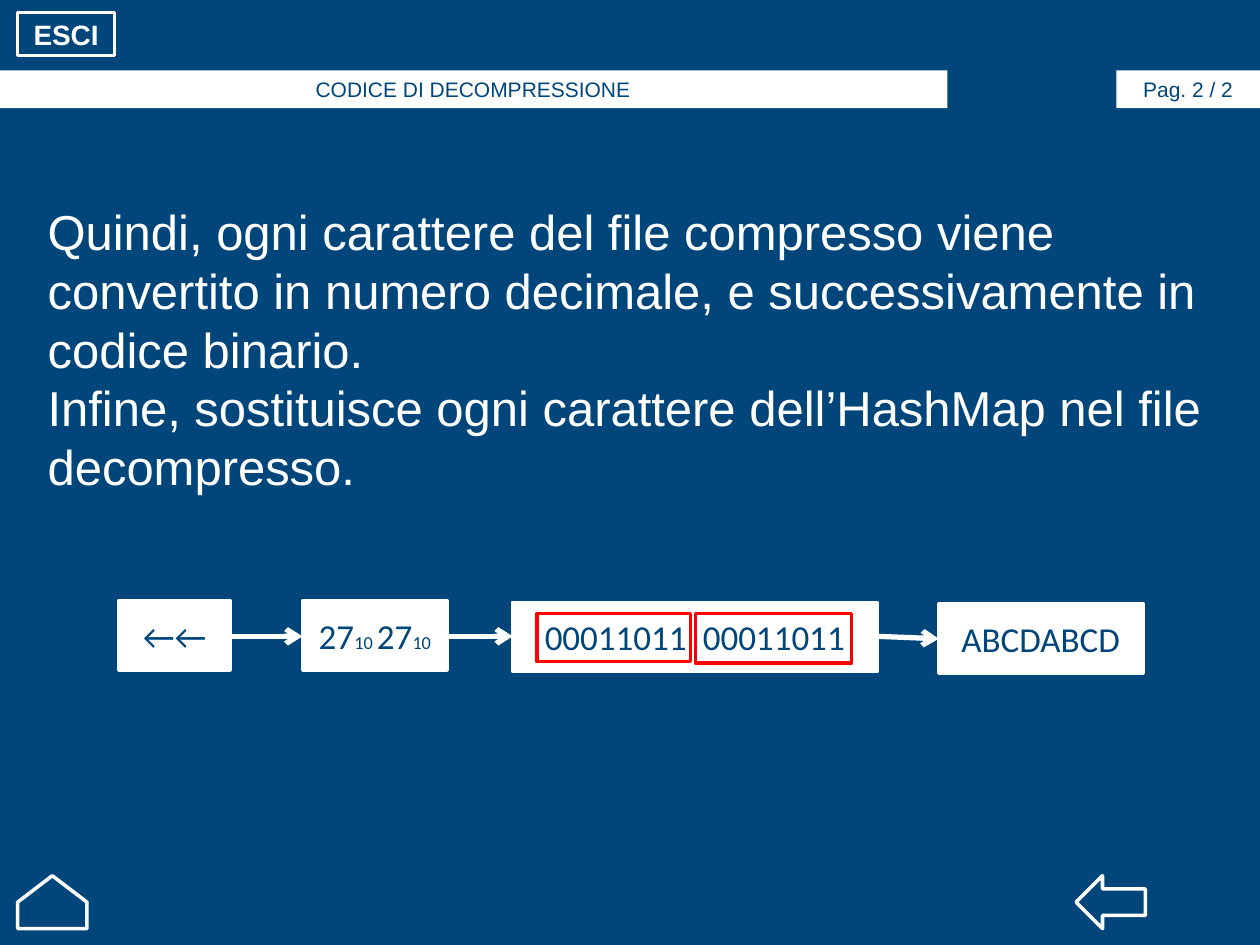
import pptx
import pptx.util
import pptx.dml.color
import pptx.enum.shapes
import pptx.enum.text
import pptx.oxml.ns
import lxml.etree

Inches = pptx.util.Inches
Pt = pptx.util.Pt
MSO = pptx.enum.shapes.MSO_SHAPE
ALIGN = pptx.enum.text.PP_ALIGN
ANCHOR = pptx.enum.text.MSO_ANCHOR
qn = pptx.oxml.ns.qn
COLORS = {"blue": "00467A", "white": "FFFFFF", "red": "FF0000"}
RGB = {k: pptx.dml.color.RGBColor.from_string(v) for k, v in COLORS.items()}


def add_box(kind, at, fill=None, line=None):
    sp = s.shapes.add_shape(kind, *[Inches(v) for v in at])
    sp.shadow.inherit = False
    if fill:
        sp.fill.solid()
        sp.fill.fore_color.rgb = RGB[fill]
    else:
        sp.fill.background()
    if line:
        sp.line.color.rgb = RGB[line]
        sp.line.width = Pt(2)
    else:
        sp.line.fill.background()
    return sp


def add_run(p, text, size, font, color, bold=False):
    r = p.add_run()
    r.text = text
    r.font.size = Pt(size)
    r.font.name = font
    r.font.bold = bold
    r.font.color.rgb = RGB[color]
    return r


prs = pptx.Presentation()
prs.slide_width = Inches(10)
prs.slide_height = Inches(7.5)
s = prs.slides.add_slide(prs.slide_layouts[6])
s.background.fill.solid()
s.background.fill.fore_color.rgb = RGB["blue"]

add_box(MSO.LEFT_ARROW, (8.54, 6.95, 0.55, 0.42), "blue", "white")
home = add_box(MSO.UP_ARROW, (0.14, 6.95, 0.55, 0.42), "blue", "white")
home.adjustments[0] = 1
home.adjustments[1] = 0.5

for left, width, text in [(-0.01, 7.53, "CODICE DI DECOMPRESSIONE"), (8.86, 1.14, "Pag. 2 / 2")]:
    sp = add_box(MSO.RECTANGLE, (left, 0.56, width, 0.3), "white")
    tf = sp.text_frame
    tf.word_wrap = True
    tf.vertical_anchor = ANCHOR.TOP
    p = tf.paragraphs[0]
    p.alignment = ALIGN.CENTER
    add_run(p, text, 12, "Arial", "blue")

sp = add_box(MSO.ACTION_BUTTON_CUSTOM, (0.14, 0.1, 0.77, 0.34), "blue", "white")
tf = sp.text_frame
tf.vertical_anchor = ANCHOR.MIDDLE
p = tf.paragraphs[0]
p.alignment = ALIGN.CENTER
add_run(p, "ESCI", 16, "Arial", "white", True)

sp = s.shapes.add_textbox(Inches(0.28), Inches(1.55), Inches(9.53), Inches(2.46))
tf = sp.text_frame
tf.word_wrap = True
sentences = [
    "Quindi, ogni carattere del file compresso viene convertito in numero decimale, e successivamente in codice binario.",
    "Infine, sostituisce ogni carattere dell’HashMap nel file decompresso.",
]
for i, text in enumerate(sentences):
    p = tf.add_paragraph() if i else tf.paragraphs[0]
    add_run(p, text, 28, "Arial", "white")

steps = [
    (0.94, 4.77, 0.89, [("←←", 20, 0)]),
    (2.4, 4.77, 1.15, [("27", 20, 0), ("10 ", 10.5, 0), ("27", 20, 0), ("10", 10.5, 0)]),
    (4.07, 4.78, 2.89, [("00011011", 20, 0), (" ", 20, 450), ("00011011", 20, 0)]),
    (7.45, 4.79, 1.62, [("ABCDABCD", 20, 0)]),
]
for left, top, width, runs in steps:
    sp = add_box(MSO.RECTANGLE, (left, top, width, 0.55), "white", "white")
    tf = sp.text_frame
    tf.word_wrap = True
    tf.vertical_anchor = ANCHOR.MIDDLE
    p = tf.paragraphs[0]
    p.alignment = ALIGN.CENTER
    for text, size, spacing in runs:
        r = add_run(p, text, size, "Calibri", "blue")
        if spacing:
            r.font._element.set("spc", str(spacing))

for here, following, end_y in zip(steps, steps[1:], (5.05, 5.05, 5.07)):
    cx = s.shapes.add_connector(
        pptx.enum.shapes.MSO_CONNECTOR.STRAIGHT,
        Inches(here[0] + here[2]), Inches(5.05), Inches(following[0]), Inches(end_y))
    cx.line.color.rgb = RGB["white"]
    cx.line.width = Pt(3)
    lxml.etree.SubElement(cx.line._get_or_add_ln(), qn("a:tailEnd"), type="arrow")
    lxml.etree.SubElement(cx._element.spPr, qn("a:effectLst"))

for left, width, height in [(4.26, 1.22, 0.38), (5.52, 1.24, 0.39)]:
    add_box(MSO.RECTANGLE, (left, 4.87, width, height), line="red")

prs.save("out.pptx")
